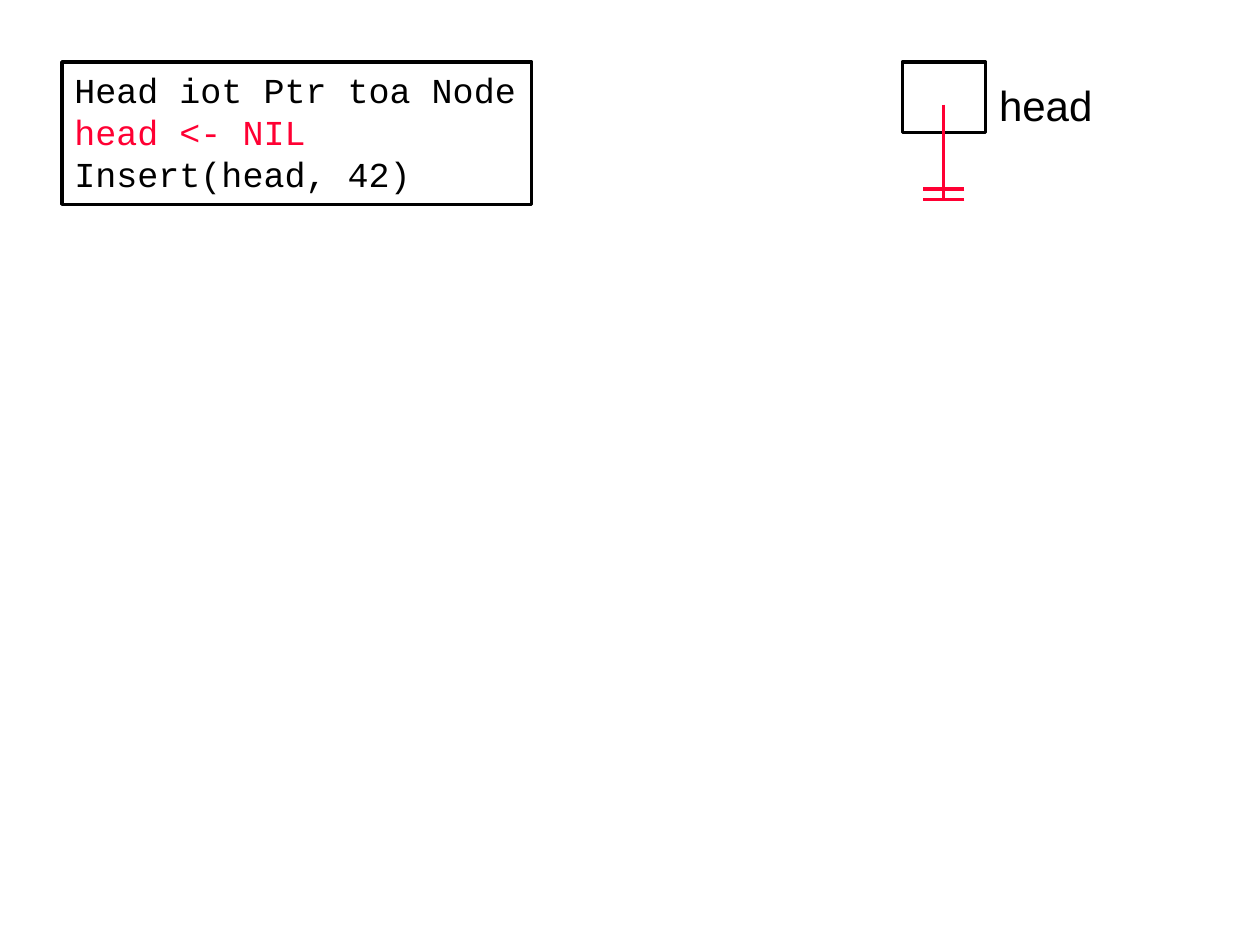
from lxml import etree
from pptx import Presentation
from pptx.dml.color import RGBColor
from pptx.enum import shapes, text
from pptx.oxml.ns import qn
from pptx.util import Cm, Pt

BLACK = "000000"
RED = "FF0033"
WHITE = "FFFFFF"
LINE_WIDTH = Pt(2)


def color(hex_value):
    return RGBColor.from_string(hex_value)


def outline(shape, hex_value):
    shape.line.color.rgb = color(hex_value)
    shape.line.width = LINE_WIDTH


def add_text(slide, lines, left, top, width, height, *, font, size, colors, fill=None, border=None):
    shape = slide.shapes.add_textbox(Cm(left), Cm(top), Cm(width), Cm(height))
    if fill:
        shape.fill.solid()
        shape.fill.fore_color.rgb = color(fill)
    if border:
        outline(shape, border)
    frame = shape.text_frame
    frame.word_wrap = False
    frame.auto_size = text.MSO_AUTO_SIZE.SHAPE_TO_FIT_TEXT
    frame.text = "\n".join(lines)
    for paragraph, hex_value in zip(frame.paragraphs, colors):
        run_font = paragraph.runs[0].font
        run_font.name = font
        run_font.size = Pt(size)
        run_font.color.rgb = color(hex_value)


def add_box(slide, left, top, width, height):
    shape = slide.shapes.add_shape(
        shapes.MSO_SHAPE.RECTANGLE, Cm(left), Cm(top), Cm(width), Cm(height))
    shape.shadow.inherit = False
    shape.fill.background()
    outline(shape, BLACK)


def add_line(group, start_x, start_y, end_x, end_y):
    connector = group.shapes.add_connector(
        shapes.MSO_CONNECTOR.STRAIGHT, Cm(start_x), Cm(start_y), Cm(end_x), Cm(end_y))
    outline(connector, RED)
    etree.SubElement(connector._element.spPr, qn("a:effectLst"))


def add_nil_pointer(slide, center, top, bottom, half_width, bar_gap):
    group = slide.shapes.add_group_shape()
    add_line(group, center, top, center, bottom)
    for bar_y in (bottom - bar_gap, bottom):
        add_line(group, center + half_width, bar_y, center - half_width, bar_y)


def main():
    presentation = Presentation()
    presentation.slide_width = Cm(25.4)
    presentation.slide_height = Cm(19.05)
    slide = presentation.slides.add_slide(presentation.slide_layouts[6])

    code = ["Head iot Ptr toa Node", "head <- NIL", "Insert(head, 42)"]
    add_text(slide, code, 1.25, 1.25, 9.47, 2.87, font="Courier New", size=20,
             colors=[BLACK, RED, BLACK], fill=WHITE, border=BLACK)
    add_box(slide, 18.19, 1.25, 1.68, 1.42)
    add_text(slide, ["head"], 19.89, 1.47, 2.49, 1.27, font="Arial", size=24, colors=[BLACK])
    add_nil_pointer(slide, center=19.02, top=2.11, bottom=4.02, half_width=0.42, bar_gap=0.21)

    presentation.save("out.pptx")


if __name__ == "__main__":
    main()
